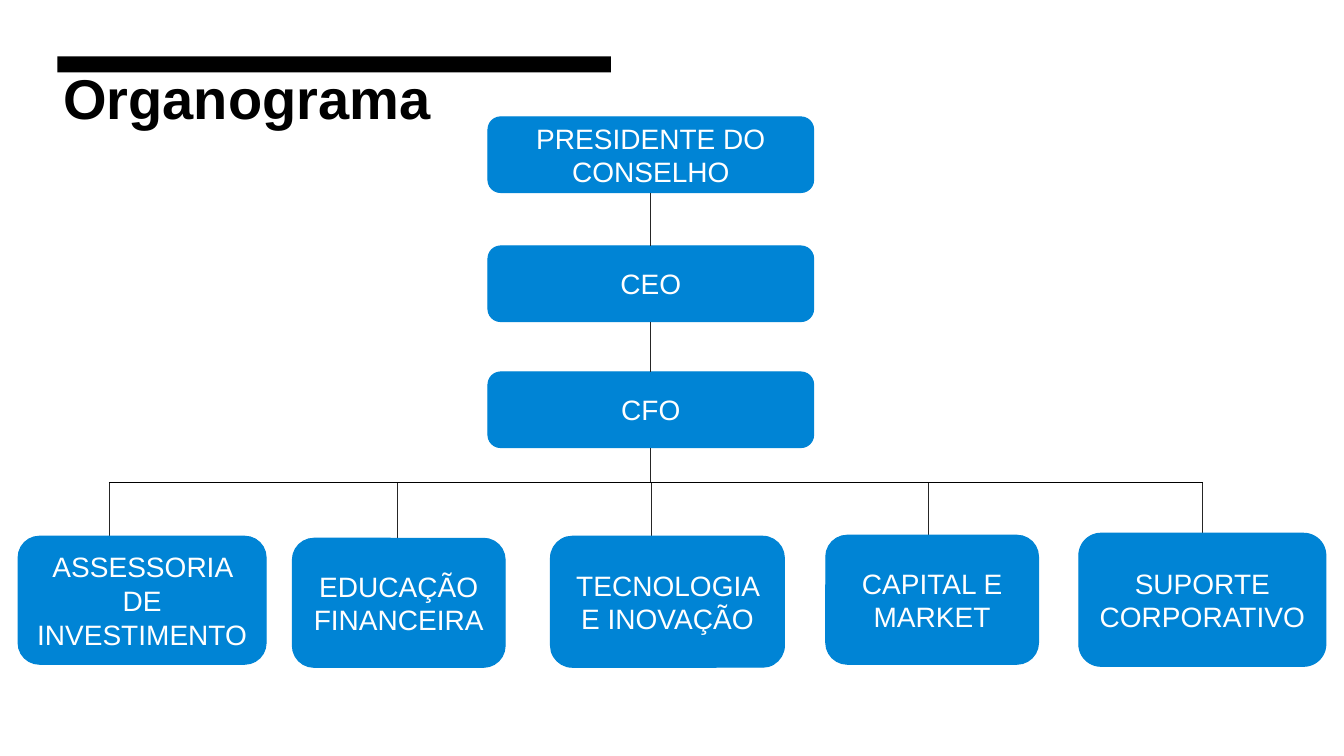
import pptx
import pptx.util
import pptx.dml.color
import pptx.enum.shapes
import pptx.enum.text
import pptx.oxml.ns
import lxml.etree

Inches = pptx.util.Inches
Pt = pptx.util.Pt
SHAPES = pptx.enum.shapes.MSO_SHAPE

TITLE = "Organograma"
BLUE, WHITE, BLACK, GRAY = "0084D5", "FFFFFF", "000000", "262626"

LEADERS = [("PRESIDENTE DO CONSELHO", 1.16), ("CEO", 2.44), ("CFO", 3.69)]
LEADER_LEFT, LEADER_WIDTH, LEADER_HEIGHT = 4.84, 3.23, 0.75

DEPARTMENTS = [
    ("ASSESSORIA DE INVESTIMENTO", 0.18, 5.32, 2.46, 1.27, 1.08),
    ("EDUCAÇÃO FINANCEIRA", 2.9, 5.34, 2.11, 1.28, 3.94),
    ("TECNOLOGIA E INOVAÇÃO", 5.46, 5.32, 2.32, 1.3, 6.46),
    ("CAPITAL E MARKET", 8.19, 5.31, 2.11, 1.28, 9.21),
    ("SUPORTE CORPORATIVO", 10.7, 5.29, 2.45, 1.32, 11.93),
]
BUS_TOP = 4.79


def color(code):
    return pptx.dml.color.RGBColor.from_string(code)


def write(shape, text, size, code, bold=False):
    frame = shape.text_frame
    frame.text = text
    frame.word_wrap = True
    frame.vertical_anchor = pptx.enum.text.MSO_ANCHOR.MIDDLE
    para = frame.paragraphs[0]
    font = para.runs[0].font
    font.name, font.size, font.bold = "Arial", Pt(size), bold
    font.color.rgb = color(code)
    return para


def add_block(page, kind, code, *place):
    shape = page.shapes.add_shape(kind, *map(Inches, place))
    shape.shadow.inherit = False
    shape.fill.solid()
    shape.fill.fore_color.rgb = color(code)
    return shape


def add_role(page, text, *place):
    box = add_block(page, SHAPES.ROUNDED_RECTANGLE, BLUE, *place)
    box.line.color.rgb = color(BLUE)
    box.line.width = Pt(0.75)
    para = write(box, text, 20, WHITE)
    para.alignment = pptx.enum.text.PP_ALIGN.CENTER


def add_line(page, code, *ends):
    line = page.shapes.add_connector(
        pptx.enum.shapes.MSO_CONNECTOR.STRAIGHT, *map(Inches, ends))
    line.line.color.rgb = color(code)
    line.line.width = Pt(0.5)
    properties = line._element.spPr
    lxml.etree.SubElement(properties, pptx.oxml.ns.qn("a:effectLst"))


def main():
    deck = pptx.Presentation()
    deck.slide_width, deck.slide_height = Inches(13.33), Inches(7.5)
    page = deck.slides.add_slide(deck.slide_layouts[6])

    bar = add_block(page, SHAPES.RECTANGLE, BLACK, 0.57, 0.56, 5.49, 0.16)
    bar.line.fill.background()
    title = page.shapes.add_textbox(*map(Inches, (0.53, 0.55, 10.24, 0.91)))
    write(title, TITLE, 40, BLACK, True).line_spacing = 0.9

    for text, top in LEADERS:
        add_role(page, text, LEADER_LEFT, top, LEADER_WIDTH, LEADER_HEIGHT)

    trunk = LEADER_LEFT + LEADER_WIDTH / 2
    bottoms = [top + LEADER_HEIGHT for text, top in LEADERS]
    next_tops = [top for text, top in LEADERS[1:]] + [BUS_TOP]
    for bottom, next_top in zip(bottoms, next_tops):
        add_line(page, GRAY, trunk, bottom, trunk, next_top)

    drops = [department[-1] for department in DEPARTMENTS]
    add_line(page, BLACK, drops[0], BUS_TOP, drops[-1], BUS_TOP)
    for text, left, top, width, height, drop in DEPARTMENTS:
        add_line(page, GRAY, drop, BUS_TOP, drop, top)
        add_role(page, text, left, top, width, height)

    deck.save("out.pptx")


if __name__ == "__main__":
    main()
